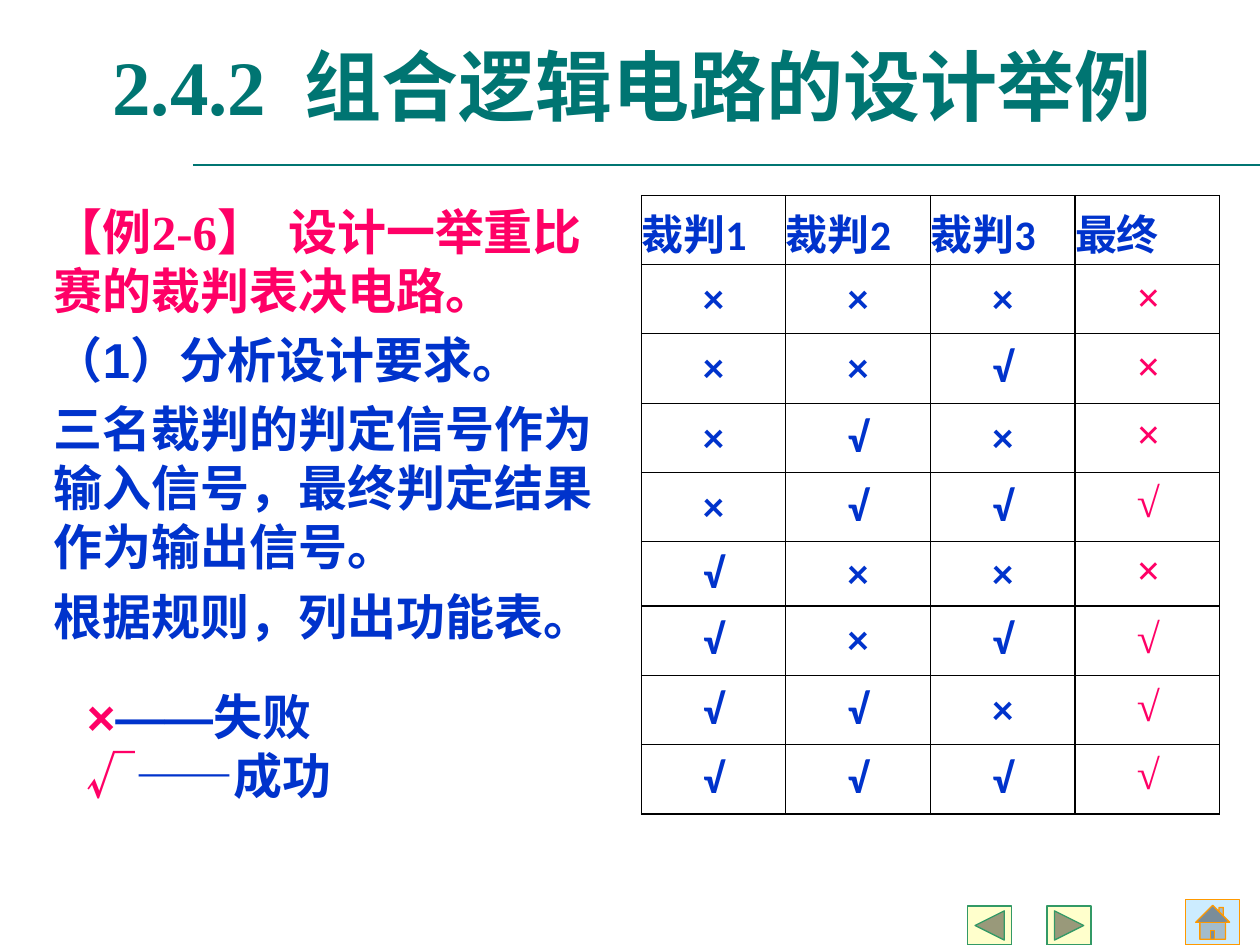
"""Build the slide on designing a three-judge voting circuit."""
from itertools import product

from lxml import etree
from pptx import Presentation
from pptx.dml.color import RGBColor
from pptx.enum.shapes import MSO_CONNECTOR, MSO_SHAPE
from pptx.enum.text import MSO_ANCHOR, PP_ALIGN
from pptx.oxml.ns import qn
from pptx.util import Inches, Pt

CENTER, LEFT = PP_ALIGN.CENTER, PP_ALIGN.LEFT
MIDDLE, TOP = MSO_ANCHOR.MIDDLE, MSO_ANCHOR.TOP
BACK = MSO_SHAPE.ACTION_BUTTON_BACK_OR_PREVIOUS
FORWARD = MSO_SHAPE.ACTION_BUTTON_FORWARD_OR_NEXT
HOME = MSO_SHAPE.ACTION_BUTTON_HOME

COLORS = {"teal": "007572", "pink": "FF0066", "blue": "0033CC", "black": "000000",
          "cream": "FFFFCC", "green": "339966", "sky": "CCECFF", "orange": "FF9900"}
SERIF, SANS, DIGIT = "Times New Roman", "Arial", "Calibri"
FAIL, PASS = "×", "√"

TITLE = "2.4.2  组合逻辑电路的设计举例"
BODY = [
    [("【例2-6】  设计一举重比赛的裁判表决电路。", SERIF, "pink")],
    [("（1）分析设计要求。", SANS, "blue")],
    [("三名裁判的判定信号作为输入信号，最终判定结果作为输出信号。", SANS, "blue")],
    [("根据规则，列出功能表。", SANS, "blue")],
]
LEGEND = [
    [(FAIL, SANS, "pink"), ("——失败", SANS, "blue")],
    [(PASS, SANS, "pink"), ("——成功", SANS, "blue")],
]
HEADER = [[("裁判", SERIF, "blue"), (str(n), DIGIT, "blue")] for n in (1, 2, 3)]
HEADER.append([("最终", SERIF, "blue")])
VOTES = list(product((FAIL, PASS), repeat=3))
VERDICTS = [PASS if vote.count(PASS) >= 2 else FAIL for vote in VOTES]
BUTTONS = [
    (FORWARD, 8.31, 7.19, 0.35, 0.31, "cream", "green"),
    (BACK, 7.68, 7.19, 0.35, 0.31, "cream", "green"),
    (HOME, 9.41, 7.14, 0.43, 0.36, "sky", "orange"),
]


def rgb(name):
    return RGBColor.from_string(COLORS[name])


def style(font, size, name, color):
    font.size, font.name, font.bold = Pt(size), name, True
    font.color.rgb = rgb(color)


def write(tf, paragraphs, size, align=LEFT, anchor=TOP, before=0):
    tf.word_wrap, tf.vertical_anchor = True, anchor
    for i, runs in enumerate(paragraphs):
        p = tf.paragraphs[0] if i == 0 else tf.add_paragraph()
        p.alignment, p.space_before = align, Pt(before)
        for text, name, color in runs:
            r = p.add_run()
            r.text = text
            style(r.font, size, name, color)


def add_text(slide, box, paragraphs, size, before=0):
    sp = slide.shapes.add_textbox(*map(Inches, box))
    write(sp.text_frame, paragraphs, size, before=before)


def set_borders(cell, color):
    tc_pr = cell._tc.get_or_add_tcPr()
    for i, side in enumerate("LRTB"):
        ln = etree.Element(qn(f"a:ln{side}"), w=str(Pt(0.75)))
        if color:
            fill = etree.SubElement(ln, qn("a:solidFill"))
            etree.SubElement(fill, qn("a:srgbClr"), val=COLORS[color])
        else:
            etree.SubElement(ln, qn("a:noFill"))
        tc_pr.insert(i, ln)


def add_grid(slide, box, rows, cols, border):
    table = slide.shapes.add_table(rows, cols, *map(Inches, box)).table
    table.first_row = table.horz_banding = False
    for cell in table.iter_cells():
        cell.fill.background()
        set_borders(cell, border)
    return table


def add_function_table(slide):
    table = add_grid(slide, (5.09, 1.55, 4.59, 4.87), len(VOTES) + 1, 4, "black")
    for row in table.rows:
        row.height = Inches(0.55)
    table.rows[5].height = Inches(0.51)
    votes = [[[(mark, DIGIT, "blue")] for mark in vote] for vote in VOTES]
    for i, row in enumerate([HEADER] + votes):
        for j, runs in enumerate(row):
            cell = table.cell(i, j)
            cell.margin_left = cell.margin_right = 0
            cell.vertical_anchor = MIDDLE
            write(cell.text_frame, [runs], 24, CENTER if i else LEFT, MIDDLE)


def add_verdicts(slide):
    table = add_grid(slide, (8.58, 2.1, 1.07, 4.33), len(VERDICTS), 1, None)
    for i, mark in enumerate(VERDICTS):
        cell = table.cell(i, 0)
        cell.vertical_anchor = MIDDLE
        write(cell.text_frame, [[(mark, SERIF, "pink")]], 24, CENTER, MIDDLE)


def add_frame(slide):
    for kind, x, y, w, h, fill, line in BUTTONS:
        sp = slide.shapes.add_shape(kind, *map(Inches, (x, y, w, h)))
        sp.shadow.inherit = False
        sp.fill.solid()
        sp.fill.fore_color.rgb = rgb(fill)
        sp.line.color.rgb = rgb(line)
        sp.line.width = Pt(0.75)
    rule = slide.shapes.add_connector(
        MSO_CONNECTOR.STRAIGHT, *map(Inches, (1.53, 1.31, 10, 1.31)))
    rule.line.color.rgb = rgb("teal")
    rule.line.width = Pt(0.75)
    etree.SubElement(rule._element.spPr, qn("a:effectLst"))


def main():
    prs = Presentation()
    prs.slide_width, prs.slide_height = Inches(10), Inches(7.5)
    slide = prs.slides.add_slide(prs.slide_layouts[5])
    add_frame(slide)

    title = slide.shapes.title
    title.left, title.top, title.width, title.height = map(Inches, (0.35, 0.05, 9.34, 1.25))
    write(title.text_frame, [[(TITLE, SERIF, "teal")]], 44, CENTER, MIDDLE)

    add_text(slide, (0.33, 1.55, 4.59, 4.87), BODY, 28, before=6)
    add_function_table(slide)
    add_text(slide, (0.59, 5.4, 2.91, 1.03), LEGEND, 28)
    add_verdicts(slide)
    prs.save("out.pptx")


if __name__ == "__main__":
    main()
